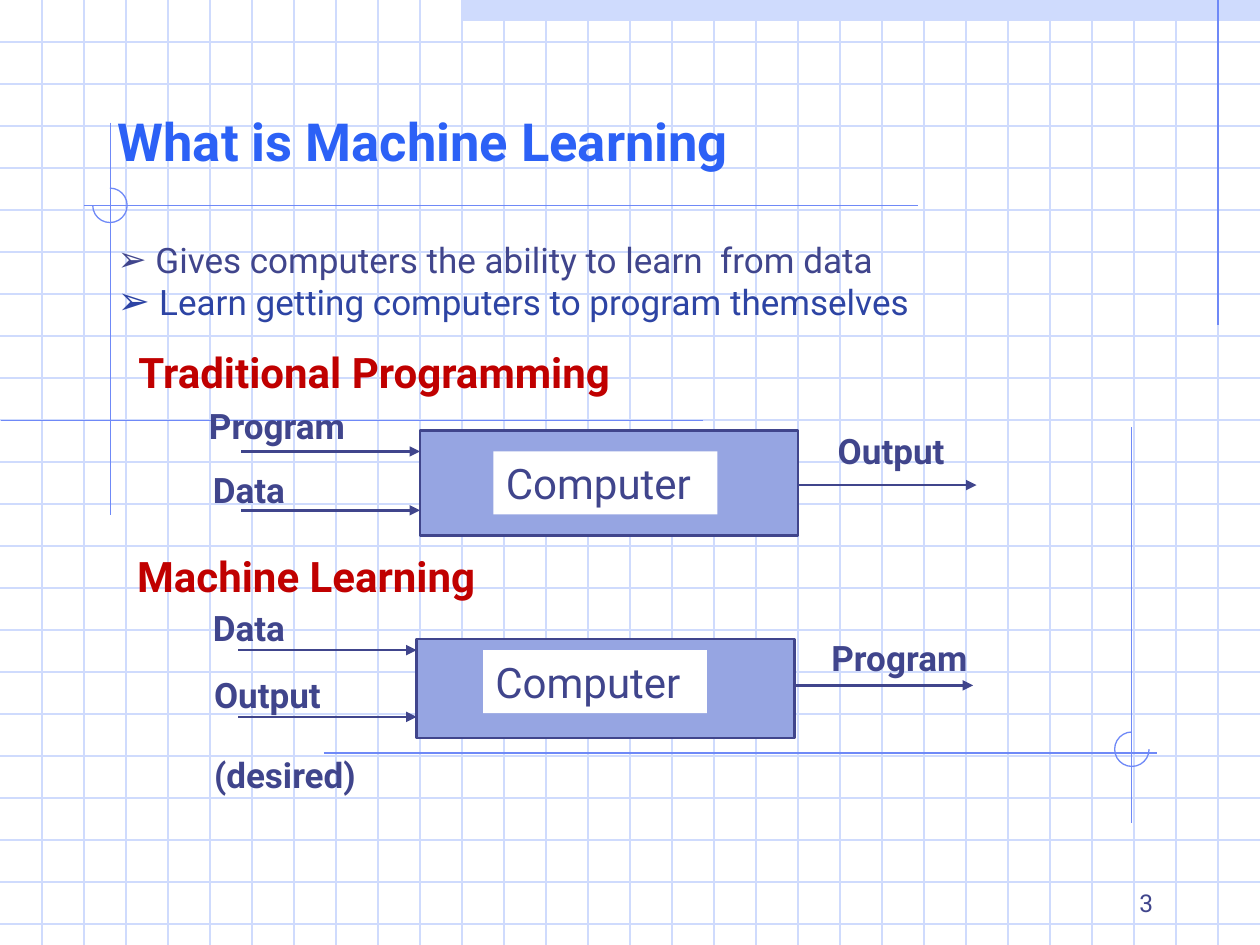
from dataclasses import dataclass
from lxml import etree
from pptx import Presentation
from pptx import util as u
from pptx.dml import color
from pptx.enum import shapes, text
from pptx.oxml import ns

COLS, ROWS = 30, 22.5
CELL = u.Inches(10) // COLS
FONT = "Roboto"
INK, BLUE, NAVY, RED = "40458C", "2C61F6", "2D44A4", "C00000"
PALE, RULE, BOX, WHITE = "CFDBFD", "6F89F7", "96A5E2", "FFFFFF"


@dataclass
class Label:
    lines: list[str]
    x: float
    y: float
    w: float = 4.26
    h: float = 1.32


@dataclass
class Flow:
    heading: Label
    x: float
    y: float
    h: float
    plate: tuple[float, float]
    inputs: list[tuple[Label, float]]
    output: tuple[Label, float]


def cells(*values: float) -> list[int]:
    return [round(v * CELL) for v in values]


def rgb(value: str) -> color.RGBColor:
    return color.RGBColor.from_string(value)


def sub(parent, tag: str, **attrs: str):
    return etree.SubElement(parent, ns.qn(tag), attrs)


def write(sp, lines: list[str], size=20, ink=INK, bold=False, align="LEFT",
          anchor="TOP", gap=0, leading=None) -> None:
    tf = sp.text_frame
    tf.word_wrap = True
    tf.auto_size = text.MSO_AUTO_SIZE.NONE
    tf.vertical_anchor = text.MSO_ANCHOR[anchor]
    for i, line in enumerate(lines):
        p = tf.add_paragraph() if i else tf.paragraphs[0]
        p.alignment = text.PP_ALIGN[align]
        p.space_before = u.Pt(gap if i else 0)
        if leading:
            p.line_spacing = u.Pt(leading)
        r = p.add_run()
        r.text = line
        r.font.name, r.font.size, r.font.bold = FONT, u.Pt(size), bold
        r.font.color.rgb = rgb(ink)


def add_label(s, label: Label, **fmt) -> None:
    sp = s.shapes.add_textbox(*cells(label.x, label.y, label.w, label.h))
    write(sp, label.lines, **fmt)


def add_line(s, x1: float, y1: float, x2: float, y2: float, ink: str,
             width=0.75, arrow=False) -> None:
    c = s.shapes.add_connector(shapes.MSO_CONNECTOR.STRAIGHT, *cells(x1, y1, x2, y2))
    c.line.color.rgb = rgb(ink)
    c.line.width = u.Pt(width)
    if arrow:
        sub(c.line._get_or_add_ln(), "a:tailEnd", type="triangle")
    sub(c.element.spPr, "a:effectLst")


def add_preset(s, kind: str, x: float, y: float, w: float, h: float,
               fill=None, ink=None, width=0.75):
    sp = s.shapes.add_shape(shapes.MSO_SHAPE[kind], *cells(x, y, w, h))
    sp.shadow.inherit = False
    for part, value in ((sp.fill, fill), (sp.line.fill, ink)):
        if value:
            part.solid()
            part.fore_color.rgb = rgb(value)
        else:
            part.background()
    if ink:
        sp.line.width = u.Pt(width)
    return sp


def add_background(s) -> None:
    add_preset(s, "RECTANGLE", 11, 0, 19, 0.5, PALE)
    for row in range(1, 23):
        add_line(s, 0, row, COLS, row, PALE)
    for col in range(1, COLS):
        add_line(s, col, 0, col, ROWS, PALE)
    for ends in ((29, 0, 29, 7.75), (2.63, 2.92, 2.63, 12.27), (16.75, 10.02, 0.02, 10.02),
                 (21.85, 4.89, 2, 4.89), (7.71, 17.93, 27.54, 17.93),
                 (26.94, 10.17, 26.94, 19.6)):
        add_line(s, *ends, RULE)
    for x, y, start, end in ((2.21, 4.48, 270, 180), (26.54, 17.43, 0, 270)):
        arc = add_preset(s, "ARC", x, y, 0.82, 0.82, ink=RULE)
        for i, degrees in enumerate((start, end)):
            arc.adjustments[i] = degrees * 0.6


def add_flow(s, flow: Flow) -> None:
    add_preset(s, "RECTANGLE", flow.x, flow.y, 9, flow.h, BOX, INK, 1.5)
    plate = add_preset(s, "RECTANGLE", *flow.plate, 5.33, 1.5, WHITE)
    write(plate, ["Computer"], size=24)
    ends = [(flow.x - 4.25, *item) for item in flow.inputs]
    ends.append((flow.x + 9, *flow.output))
    for x, label, y in ends:
        add_line(s, x, y, x + 4.25, y, INK, 1.5, arrow=True)
        add_label(s, label, bold=True, gap=22)
    add_label(s, flow.heading, size=24, ink=RED, bold=True)


def place(s, sp, x: float, y: float, w: float, h: float) -> None:
    sp.left, sp.top, sp.width, sp.height = cells(x, y, w, h)
    s.shapes.element.append(sp.element)


def add_list(s, sp) -> None:
    place(s, sp, 2.5, 4.62, 24.75, 3.21)
    write(sp, ["Gives computers the ability to learn  from data",
               "Learn getting computers to program themselves"], anchor="BOTTOM")
    styles = ((INK, "99000", 0.3), (NAVY, "110000", 0.33))
    for p, (ink, size, indent) in zip(sp.text_frame.paragraphs, styles):
        p.runs[0].font.color.rgb = rgb(ink)
        pPr = p._p.get_or_add_pPr()
        pPr.set("marL", str(u.Inches(indent)))
        pPr.set("indent", str(-u.Inches(indent)))
        sub(sub(pPr, "a:buClr"), "a:srgbClr", val=ink)
        sub(pPr, "a:buSzPct", val=size)
        sub(pPr, "a:buChar", char="➢")


FLOWS = [
    Flow(Label(["Traditional Programming"], 3, 8.1, 13.9, 1.5), 10, 10.25, 2.5, (11.75, 10.75),
         [(Label(["Program"], 4.68, 9.48), 10.75), (Label(["Data"], 4.77, 11), 12.15)],
         (Label(["Output"], 19.65, 10.07), 11.55)),
    Flow(Label(["Machine Learning"], 2.97, 12.95, 13.9, 1.5), 9.92, 15.22, 2.35, (11.5, 15.48),
         [(Label(["Data"], 4.77, 14.3), 15.48),
          (Label(["Output", "(desired)"], 4.8, 15.88, 6.93, 3.21), 17.07)],
         (Label(["Program"], 19.5, 15), 16.32)),
]


def main() -> None:
    prs = Presentation()
    prs.slide_width, prs.slide_height = cells(COLS, ROWS)
    s = prs.slides.add_slide(prs.slide_layouts[1])
    title, body = s.placeholders
    add_background(s)
    add_label(s, Label(["3"], 21.5, 20.5, 6.25, 1.5), size=14, align="RIGHT", anchor="BOTTOM")
    place(s, title, 2.5, 1, 25.5, 3.25)
    write(title, ["What is Machine Learning"], size=30, ink=BLUE, bold=True,
          anchor="BOTTOM", leading=32.4)
    add_list(s, body)
    for flow in FLOWS:
        add_flow(s, flow)
    prs.save("out.pptx")


if __name__ == "__main__":
    main()
